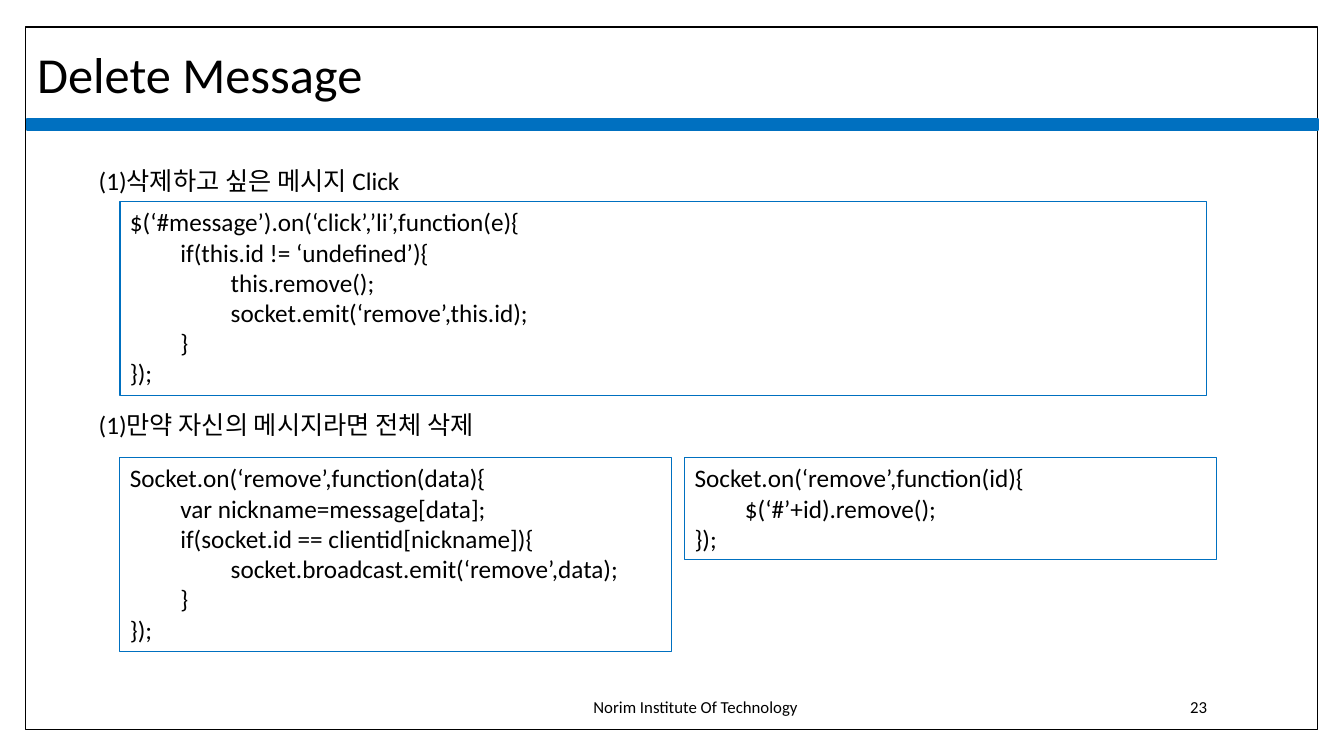
from dataclasses import dataclass

from lxml import etree
from pptx import Presentation
from pptx.dml.color import RGBColor
from pptx.enum.shapes import MSO_SHAPE
from pptx.enum.text import MSO_ANCHOR, PP_ALIGN
from pptx.oxml.ns import qn
from pptx.util import Inches, Pt

BLACK = RGBColor(0x00, 0x00, 0x00)
WHITE = RGBColor(0xFF, 0xFF, 0xFF)
BLUE = RGBColor(0x00, 0x70, 0xC0)
FONT = "Calibri"
RECTANGLE = MSO_SHAPE.RECTANGLE
TOP, MIDDLE = MSO_ANCHOR.TOP, MSO_ANCHOR.MIDDLE
LEFT, CENTER, RIGHT = PP_ALIGN.LEFT, PP_ALIGN.CENTER, PP_ALIGN.RIGHT
TAB_STOPS = (Inches(0.5), Inches(1))


@dataclass
class Area:
    left: float
    top: float
    width: float
    height: float

    def lengths(self):
        return [Inches(n) for n in (self.left, self.top, self.width, self.height)]


@dataclass
class Panel:
    area: Area
    fill: RGBColor | None
    line: RGBColor
    weight: float
    code: tuple[str, ...] = ()


@dataclass
class Label:
    area: Area
    text: str
    size: int = 18
    align: PP_ALIGN = LEFT
    anchor: MSO_ANCHOR = TOP
    spacing: float = 1.0


def add_text(para, text: str, size: int, align: PP_ALIGN) -> None:
    para.alignment = align
    span = para.add_run()
    span.text = text
    span.font.name = FONT
    span.font.size = Pt(size)
    span.font.color.rgb = BLACK


def set_tabs(para) -> None:
    tabs = etree.SubElement(para._p.get_or_add_pPr(), qn("a:tabLst"))
    for stop in TAB_STOPS:
        etree.SubElement(tabs, qn("a:tab"), pos=str(stop), algn="l")


def draw_panel(page, panel: Panel) -> None:
    box = page.shapes.add_shape(RECTANGLE, *panel.area.lengths())
    box.shadow.inherit = False
    if panel.fill is None:
        box.fill.background()
    else:
        box.fill.solid()
        box.fill.fore_color.rgb = panel.fill
    box.line.color.rgb = panel.line
    box.line.width = Pt(panel.weight)
    frame = box.text_frame
    frame.word_wrap = True
    frame.vertical_anchor = TOP
    for index, line in enumerate(panel.code):
        para = frame.add_paragraph() if index else frame.paragraphs[0]
        add_text(para, line, 18, LEFT)
        set_tabs(para)


def draw_label(page, label: Label) -> None:
    frame = page.shapes.add_textbox(*label.area.lengths()).text_frame
    frame.word_wrap = True
    frame.vertical_anchor = label.anchor
    para = frame.paragraphs[0]
    para.line_spacing = label.spacing
    add_text(para, label.text, label.size, label.align)


PANELS = (
    Panel(Area(0.25, 0.27, 12.82, 6.97), WHITE, BLACK, 1),
    Panel(Area(0.27, 1.18, 12.8, 0.11), BLUE, BLUE, 1.5),
    Panel(Area(1.19, 2, 10.78, 1.92), None, BLUE, 0.75, (
        "$(‘#message’).on(‘click’,’li’,function(e){",
        "\tif(this.id != ‘undefined’){",
        "\t\tthis.remove();",
        "\t\tsocket.emit(‘remove’,this.id);",
        "\t}",
        "});",
    )),
    Panel(Area(1.19, 4.54, 5.47, 1.92), None, BLUE, 0.75, (
        "Socket.on(‘remove’,function(data){",
        "\tvar nickname=message[data];",
        "\tif(socket.id == clientid[nickname]){",
        "\t\tsocket.broadcast.emit(‘remove’,data);",
        "\t}",
        "});",
    )),
    Panel(Area(6.79, 4.54, 5.28, 1.01), None, BLUE, 0.75, (
        "Socket.on(‘remove’,function(id){",
        "\t$(‘#’+id).remove();",
        "});",
    )),
)

LABELS = (
    Label(Area(0.27, 0.45, 11.5, 1.45), "Delete Message", 36, spacing=0.9),
    Label(Area(0.88, 1.59, 7.51, 0.4), "(1)삭제하고 싶은 메시지 Click"),
    Label(Area(0.88, 4.01, 7.51, 0.4), "(1)만약 자신의 메시지라면 전체 삭제"),
    Label(Area(4.32, 6.81, 5.16, 0.4), "Norim Institute Of Technology", 12, CENTER, MIDDLE),
    Label(Area(10.2, 6.81, 1.87, 0.4), "23", 12, RIGHT, MIDDLE),
)

deck = Presentation()
deck.slide_width = Inches(13.33)
deck.slide_height = Inches(7.5)
page = deck.slides.add_slide(deck.slide_layouts[6])
for panel in PANELS:
    draw_panel(page, panel)
for label in LABELS:
    draw_label(page, label)
deck.save("out.pptx")
